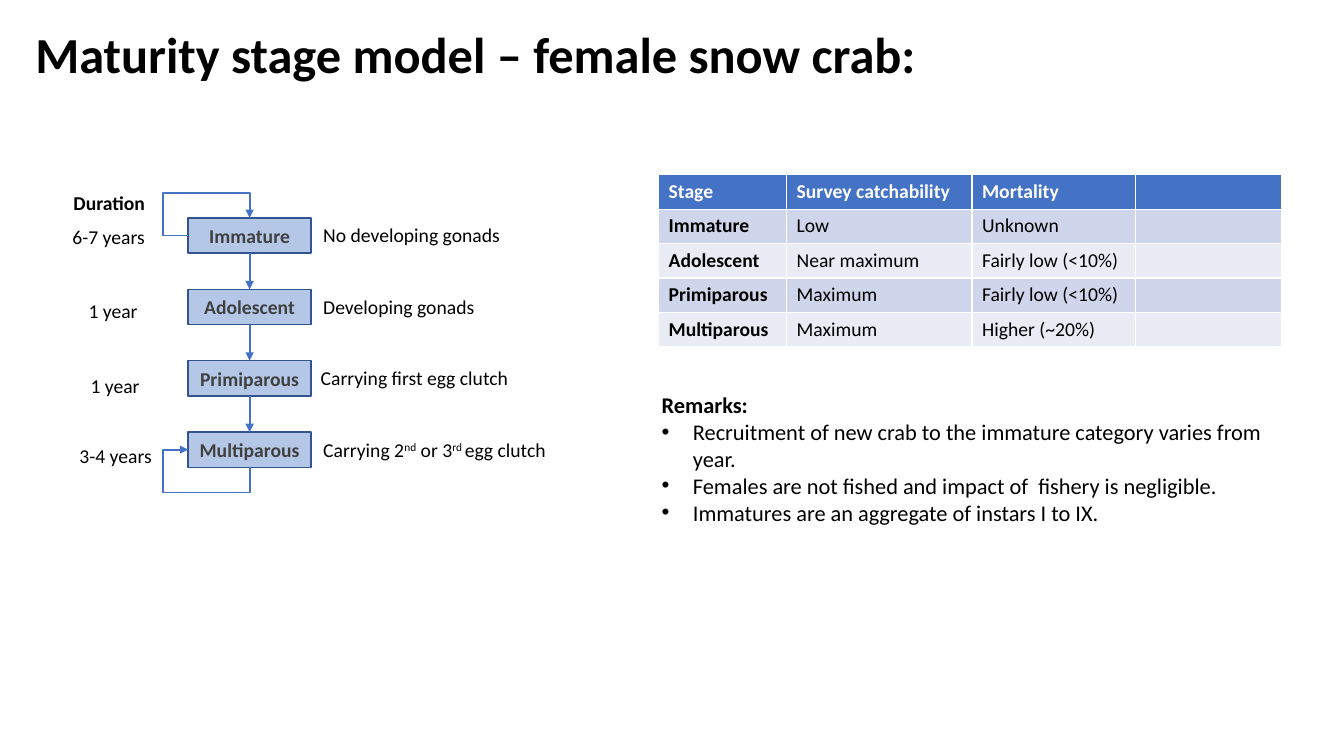
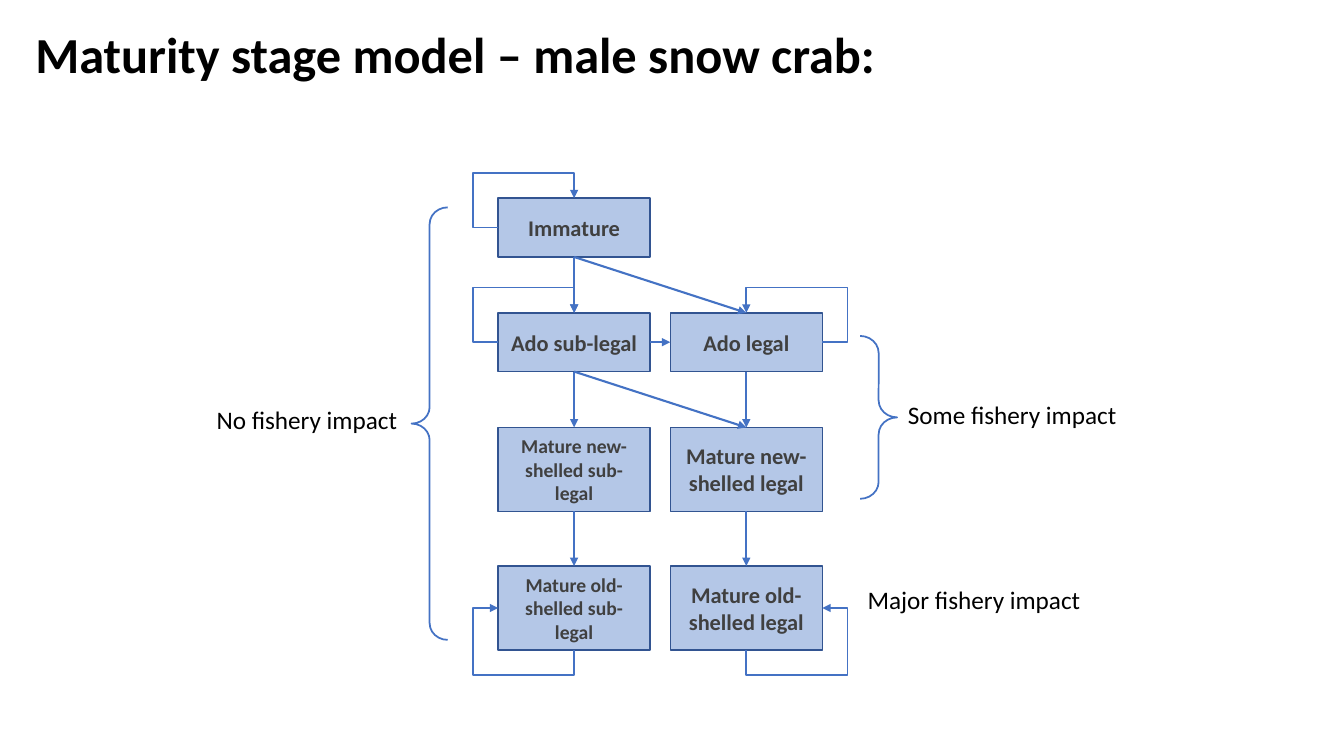
from itertools import pairwise

from lxml.etree import SubElement
from pptx import Presentation
from pptx.dml.color import RGBColor
from pptx.enum.shapes import MSO_CONNECTOR, MSO_SHAPE
from pptx.enum.text import MSO_ANCHOR, MSO_AUTO_SIZE, PP_ALIGN
from pptx.oxml.ns import qn
from pptx.util import Inches, Pt

COLUMNS = 160
TOP, LEFT, BOTTOM, RIGHT = range(4)
BLACK, WHITE, GREY = "000000", "FFFFFF", "404040"
BLUE, NAVY, PALE = "4472C4", "325491", "B4C7E7"
BANDS = ("E9EBF5", "CFD5EA")


def colour(value):
    """Turn a hex string into a colour."""
    return RGBColor.from_string(value)


def assign(target, formats):
    """Set each format value on the target."""
    for attribute, value in formats.items():
        setattr(target, attribute, value)


class Deck:
    """Holds the shared style and the current slide."""

    def __init__(self):
        """Start a wide presentation with a square grid."""
        self.presentation = Presentation()
        assign(self.presentation, {"slide_width": Inches(13.33), "slide_height": Inches(7.5)})
        self.cell = self.presentation.slide_width / COLUMNS
        self.shapes = None

    def grid(self, *lengths):
        """Convert columns and rows to slide lengths."""
        return [round(length * self.cell) for length in lengths]

    def style(self, font, size, ink=BLACK, bold=False):
        """Format a font in the deck's typeface."""
        assign(font, {"name": "Calibri", "size": Pt(size), "bold": bold})
        font.color.rgb = colour(ink)

    def add_words(self, paragraph, wording, size, ink=BLACK, bold=False):
        """Add one formatted run to a paragraph."""
        run = paragraph.add_run()
        run.text = wording
        self.style(run.font, size, ink, bold)
        return run

    def outline(self, line, ink, weight):
        """Format a line's colour and weight."""
        line.color.rgb = colour(ink)
        line.width = Pt(weight)

    def slide(self, heading):
        """Add a slide with its heading."""
        self.shapes = self.presentation.slides.add_slide(self.presentation.slide_layouts[5]).shapes
        title = self.shapes.title
        assign(title, dict(zip(("left", "top", "width", "height"), self.grid(3, 1.8, 138, 10))))
        assign(title.text_frame, {"vertical_anchor": MSO_ANCHOR.MIDDLE, "word_wrap": True,
                                  "auto_size": MSO_AUTO_SIZE.NONE})
        paragraph = title.text_frame.paragraphs[0]
        assign(paragraph, {"alignment": PP_ALIGN.LEFT, "line_spacing": 0.9})
        self.add_words(paragraph, heading, 36, bold=True)

    def box(self, place, wording, size):
        """Add a stage box."""
        stage = self.shapes.add_shape(MSO_SHAPE.RECTANGLE, *self.grid(*place))
        stage.shadow.inherit = False
        stage.fill.solid()
        stage.fill.fore_color.rgb = colour(PALE)
        self.outline(stage.line, NAVY, 1)
        assign(stage.text_frame, {"vertical_anchor": MSO_ANCHOR.MIDDLE, "word_wrap": True})
        paragraph = stage.text_frame.paragraphs[0]
        paragraph.alignment = PP_ALIGN.CENTER
        self.add_words(paragraph, wording, size, GREY, True)
        return stage

    def label(self, place, pieces, size, bold=False):
        """Add a one-line label whose every second piece is raised."""
        frame = self.shapes.add_textbox(*self.grid(*place)).text_frame
        frame.word_wrap = False
        for position, piece in enumerate(pieces):
            run = self.add_words(frame.paragraphs[0], piece, size, bold=bold)
            if position % 2:
                run._r.get_or_add_rPr().set("baseline", "30000")

    def remarks(self, place, heading, points, size):
        """Add a heading with bulleted points below it."""
        frame = self.shapes.add_textbox(*self.grid(*place)).text_frame
        frame.word_wrap = True
        self.add_words(frame.paragraphs[0], heading, size, bold=True)
        indent = Inches(0.31)
        for point in points:
            paragraph = frame.add_paragraph()
            self.add_words(paragraph, point, size)
            properties = paragraph._p.get_or_add_pPr()
            properties.set("marL", str(indent))
            properties.set("indent", str(-indent))
            SubElement(properties, qn("a:buFont"), typeface="Arial")
            SubElement(properties, qn("a:buChar"), char="•")

    def connect(self, kind, start, end, weight, arrow="tailEnd"):
        """Join two (shape, side) pairs with an arrow."""
        connector = self.shapes.add_connector(kind, 0, 0, 0, 0)
        connector.begin_connect(*start)
        connector.end_connect(*end)
        self.outline(connector.line, BLUE, weight)
        properties = connector._element.spPr
        SubElement(properties.find(qn("a:ln")), qn(f"a:{arrow}"), type="triangle")
        SubElement(properties, qn("a:effectLst"))
        return connector

    def arrow(self, source, target, sides=(BOTTOM, TOP)):
        """Draw a straight arrow between two boxes."""
        self.connect(MSO_CONNECTOR.STRAIGHT, (source, sides[0]), (target, sides[1]), 1.5)

    def loop(self, stage, side, end):
        """Draw an arrow from a box around its corner back to itself."""
        arrow = "tailEnd" if end == TOP else "headEnd"
        connector = self.connect(MSO_CONNECTOR.ELBOW, (stage, side), (stage, end), 1.25, arrow)
        reach = 3 * self.cell
        geometry = connector._element.spPr.find(qn("a:prstGeom"))
        geometry.set("prst", "bentConnector4")
        bends = (-reach / connector.width, 1 + reach / connector.height)
        for number, bend in enumerate(bends, 1):
            SubElement(geometry.find(qn("a:avLst")), qn("a:gd"), name=f"adj{number}",
                       fmla=f"val {round(bend * 100000)}")

    def brace(self, kind, place):
        """Draw a brace beside a group of boxes."""
        bracket = self.shapes.add_shape(kind, *self.grid(*place))
        bracket.shadow.inherit = False
        bracket.fill.background()
        self.outline(bracket.line, BLUE, 1.25)
        bracket.adjustments[0] = 0.46

    def table(self, left, top, widths, height, rows, size):
        """Add a banded table with a heading row."""
        place = self.grid(left, top, sum(widths), height * len(rows))
        table = self.shapes.add_table(len(rows), len(widths), *place).table
        for column, width in zip(table.columns, self.grid(*widths)):
            column.width = width
        for index, (row, wordings) in enumerate(zip(table.rows, rows)):
            row.height = self.grid(height)[0]
            for position, (cell, wording) in enumerate(zip(row.cells, wordings)):
                cell.fill.solid()
                cell.fill.fore_color.rgb = colour(BANDS[index % 2] if index else BLUE)
                paragraph = cell.text_frame.paragraphs[0]
                if wording:
                    self.add_words(paragraph, wording, size, BLACK if index else WHITE,
                                   index == 0 or position == 0)
                else:
                    SubElement(paragraph._p, qn("a:endParaRPr"), sz=str(size * 100))


def female_slide(deck):
    """Build the female stage model."""
    deck.slide("Maturity stage model – female snow crab:")
    first_row, step = 25.95, 8.5
    stages = [deck.box((22.4, first_row + step * index, 14.64, 4.2), name, 14)
              for index, name in enumerate(("Immature", "Adolescent", "Primiparous", "Multiparous"))]
    for source, target in pairwise(stages):
        deck.arrow(source, target)
    deck.loop(stages[0], LEFT, TOP)
    deck.loop(stages[-1], LEFT, BOTTOM)

    deck.label((7.56, 22.2, 11, 4.1), ["Duration"], 14, True)
    durations = (
        (7.44, 26.2, 11.2, "6-7 years"),
        (9.36, 35, 8.3, "1 year"),
        (9.6, 43.9, 8.3, "1 year"),
        (8.28, 52.3, 11.2, "3-4 years"),
    )
    for left, top, width, duration in durations:
        deck.label((left, top, width, 4.1), [duration], 14)
    descriptions = (
        (37.3, 23.6, ["No developing gonads"]),
        (37.3, 20.6, ["Developing gonads"]),
        (37, 25, ["Carrying first egg clutch"]),
        (37.3, 29.8, ["Carrying 2", "nd", " or 3", "rd ", "egg clutch"]),
    )
    for index, (left, width, pieces) in enumerate(descriptions):
        deck.label((left, first_row + 0.05 + step * index, width, 4.1), pieces, 14)

    deck.table(78.4, 20.8, (15.24, 22.08, 19.44, 17.4), 4.1, (
        ("Stage", "Survey catchability", "Mortality", ""),
        ("Immature", "Low", "Unknown", ""),
        ("Adolescent", "Near maximum", "Fairly low (<10%)", ""),
        ("Primiparous", "Maximum", "Fairly low (<10%)", ""),
        ("Multiparous", "Maximum", "Higher (~20%)", ""),
    ), 14)
    deck.remarks((77.6, 46, 74.2, 17.4), "Remarks:", (
        "Recruitment of new crab to the immature category varies from year.",
        "Females are not fished and impact of  fishery is negligible.",
        "Immatures are an aggregate of instars I to IX.",
    ), 16)


def male_slide(deck):
    """Build the male stage model."""
    deck.slide("Maturity stage model – male snow crab:")
    sub_legal, legal, width = 59.3, 79.8, 18.1
    immature = deck.box((sub_legal, 23.6, width, 7), "Immature", 16)
    levels = (
        (37.25, 7, "Ado sub-legal", 16, "Ado legal"),
        (50.9, 10, "Mature new-shelled sub-legal", 14, "Mature new-shelled legal"),
        (67.4, 10, "Mature old-shelled sub-legal", 14, "Mature old-shelled legal"),
    )
    pairs = [(deck.box((sub_legal, top, width, height), small, size),
              deck.box((legal, top, width, height), large, 16))
             for top, height, small, size, large in levels]
    (ado_small, ado_large), (new_small, new_large), (old_small, old_large) = pairs

    for source, target in (
        (immature, ado_small), (immature, ado_large),
        (ado_small, new_small), (ado_small, new_large), (ado_large, new_large),
        (new_small, old_small), (new_large, old_large),
    ):
        deck.arrow(source, target)
    deck.arrow(ado_small, ado_large, (RIGHT, LEFT))
    for stage, side, end in (
        (immature, LEFT, TOP), (ado_small, LEFT, TOP), (ado_large, RIGHT, TOP),
        (old_small, LEFT, BOTTOM), (old_large, RIGHT, BOTTOM),
    ):
        deck.loop(stage, side, end)

    deck.brace(MSO_SHAPE.LEFT_BRACE, (49, 24.7, 4.3, 51.5))
    deck.brace(MSO_SHAPE.RIGHT_BRACE, (102.4, 40, 4.4, 19.4))
    for left, top, span, impact in (
        (24.6, 47.5, 24.1, "No fishery impact"),
        (106.9, 47, 28.6, "Some fishery impact"),
        (102.1, 69, 28, "Major fishery impact"),
    ):
        deck.label((left, top, span, 4.8), [impact], 18)


def main():
    """Build and save both slides."""
    deck = Deck()
    female_slide(deck)
    male_slide(deck)
    deck.presentation.save("out.pptx")


if __name__ == "__main__":
    main()
